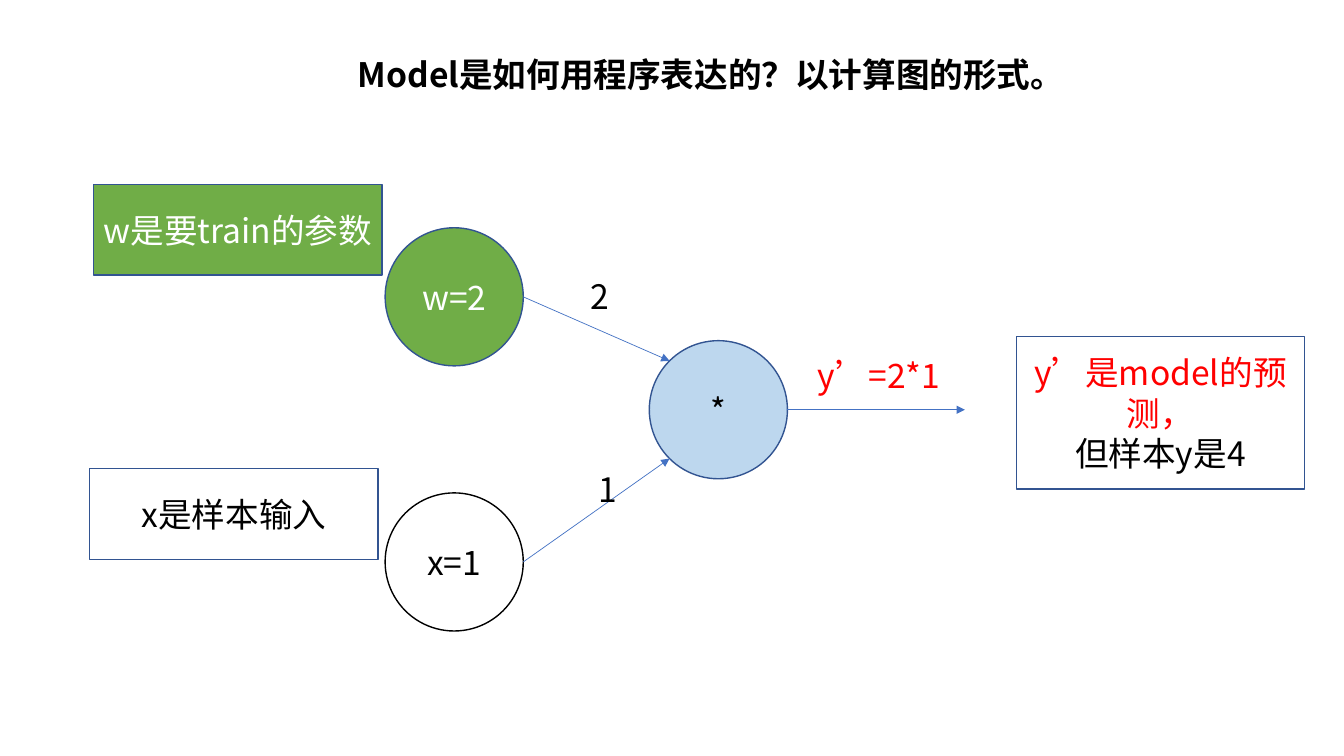
import math

import pptx
import pptx.dml.color
import pptx.enum.shapes
import pptx.enum.text
import pptx.oxml
import pptx.oxml.ns
import pptx.util

FONT = "Noto Sans CJK SC"
COLORS = {
    "black": "000000", "white": "FFFFFF", "red": "FF0000", "green": "70AD47",
    "pale": "BDD7EE", "outline": "325491", "arrow": "4472C4",
}
SHAPE = pptx.enum.shapes.MSO_SHAPE

prs = pptx.Presentation()
prs.slide_width = pptx.util.Inches(13.33)
prs.slide_height = pptx.util.Inches(7.5)
s = prs.slides.add_slide(prs.slide_layouts[6])

# Square grid: 75 rows down the slide, columns of the same size
CELL = prs.slide_height / 75


def rgb(name):
    return pptx.dml.color.RGBColor.from_string(COLORS[name])


def write(sp, text, colors, bold=False):
    """Fill a shape with text, one colour per paragraph."""
    tf = sp.text_frame
    tf.text = text
    for p, color in zip(tf.paragraphs, colors):
        if sp.shape_type == pptx.enum.shapes.MSO_SHAPE_TYPE.AUTO_SHAPE:
            p.alignment = pptx.enum.text.PP_ALIGN.CENTER
        for r in p.runs:
            r.font.name = FONT
            r.font.size = pptx.util.Pt(24)
            r.font.bold = bold
            r.font.color.rgb = rgb(color)
            ea = pptx.oxml.parse_xml(
                f'<a:ea {pptx.oxml.ns.nsdecls("a")} typeface="{FONT}"/>')
            r.font._element.find(pptx.oxml.ns.qn("a:latin")).addnext(ea)


# Nodes of the graph, by centre
D = 13.7
R = D / 2
DIAG = R * math.sqrt(0.5)
INPUT_X, W_Y, X_Y = 45.05, 29.45, 55.75
MUL_X, MUL_Y = 71.25, 40.65

# Kind, left, top, width, height, fill, line, text, text colours
shapes = [
    (SHAPE.OVAL, cx - R, cy - R, D, D, fill, line, text, [color])
    for cx, cy, fill, line, text, color in [
        (INPUT_X, W_Y, "green", "outline", "w=2", "white"),
        (INPUT_X, X_Y, "white", "black", "x=1", "black"),
        (MUL_X, MUL_Y, "pale", "outline", "*", "black"),
    ]
]
# Notes beside the nodes
NOTE_W = 28.6
shapes += [
    (SHAPE.RECTANGLE, left, top, NOTE_W, height, fill, "outline", text, colors)
    for left, top, height, fill, text, colors in [
        (9.3, 18.3, 9, "green", "w是要train的参数", ["white"]),
        (8.9, 46.5, 9, "white", "x是样本输入", ["black"]),
        (100.8, 33.4, 15.1, "white", "y’是model的预测，\n但样本y是4", ["red", "black"]),
    ]
]
for kind, left, top, width, height, fill, line, text, colors in shapes:
    box = [round(v * CELL) for v in (left, top, width, height)]
    sp = s.shapes.add_shape(kind, *box)
    sp.shadow.inherit = False
    sp.fill.solid()
    sp.fill.fore_color.rgb = rgb(fill)
    sp.line.color.rgb = rgb(line)
    sp.line.width = pptx.util.Pt(1)
    sp.text_frame.word_wrap = True
    sp.text_frame.vertical_anchor = pptx.enum.text.MSO_ANCHOR.MIDDLE
    write(sp, text, colors)

# Arrows between the nodes
arrows = [
    (INPUT_X + R, W_Y, MUL_X - DIAG, MUL_Y - DIAG),
    (INPUT_X + R, X_Y, MUL_X - DIAG, MUL_Y + DIAG),
    (MUL_X + R, MUL_Y, 95.7, MUL_Y),
]
for ends in arrows:
    c = s.shapes.add_connector(
        pptx.enum.shapes.MSO_CONNECTOR.STRAIGHT, *[round(v * CELL) for v in ends])
    c.line.color.rgb = rgb("arrow")
    c.line.width = pptx.util.Pt(0.5)
    ln = c.line._get_or_add_ln()
    ln.append(pptx.oxml.parse_xml(
        f'<a:tailEnd {pptx.oxml.ns.nsdecls("a")} type="triangle"/>'))
    ln.addnext(pptx.oxml.parse_xml(f'<a:effectLst {pptx.oxml.ns.nsdecls("a")}/>'))

# Title and arrow labels
labels = [
    (34.5, 4.9, 73.5, "Model是如何用程序表达的？以计算图的形式。", "black", True),
    (57.6, 26.9, 4, "2", "black", False),
    (58.4, 46, 4, "1", "black", False),
    (80.1, 34.7, 15.1, "y’=2*1", "red", False),
]
for left, top, width, text, color, bold in labels:
    box = [round(v * CELL) for v in (left, top, width, 5)]
    sp = s.shapes.add_textbox(*box)
    sp.text_frame.word_wrap = False
    sp.text_frame.auto_size = pptx.enum.text.MSO_AUTO_SIZE.SHAPE_TO_FIT_TEXT
    write(sp, text, [color], bold)

prs.save("out.pptx")
